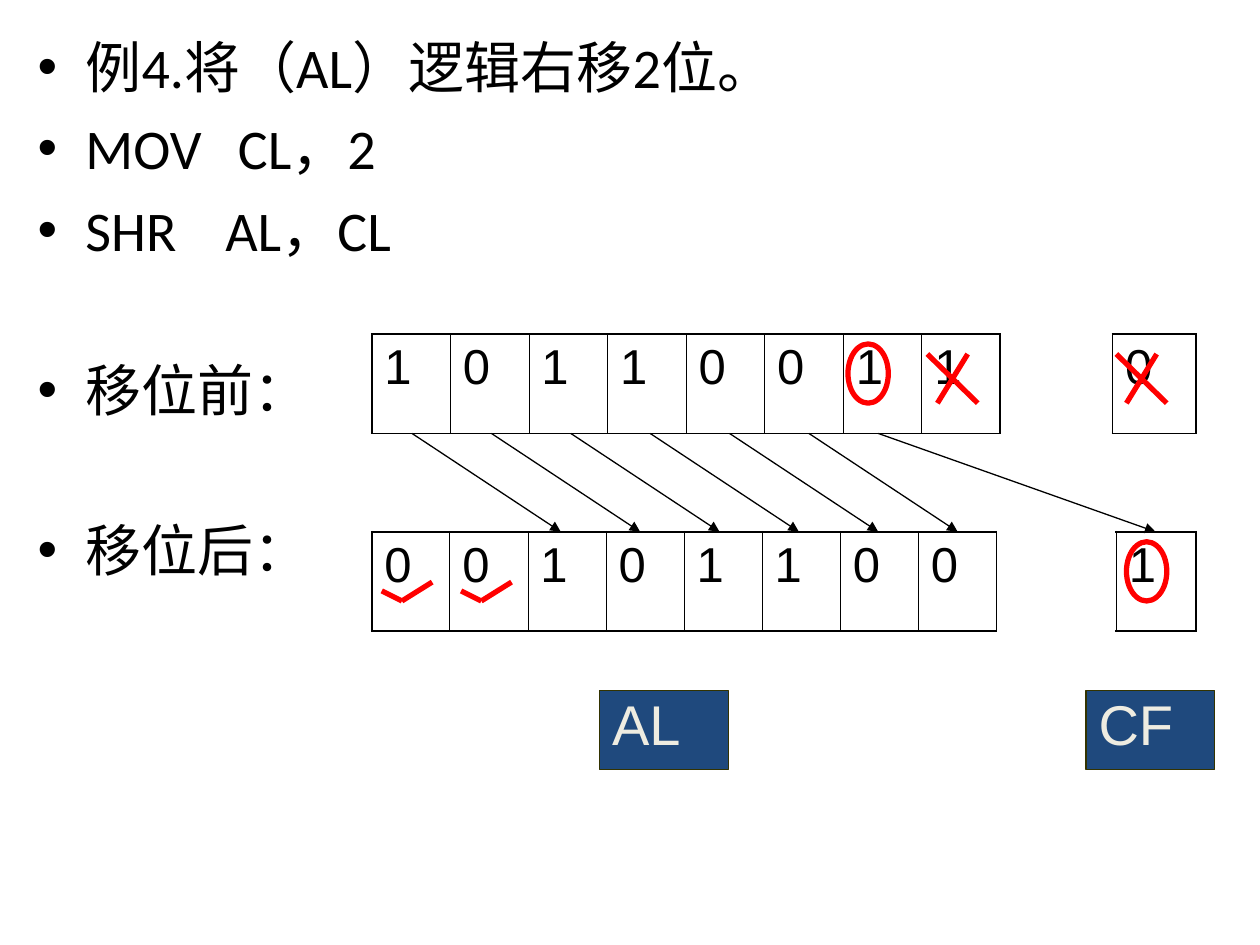
from dataclasses import dataclass

from lxml.etree import SubElement
from pptx import Presentation
from pptx.dml.color import RGBColor
from pptx.enum.shapes import MSO_CONNECTOR, MSO_SHAPE
from pptx.enum.text import MSO_ANCHOR
from pptx.oxml.ns import qn
from pptx.util import Inches, Pt

BLACK = RGBColor(0x00, 0x00, 0x00)
RED = RGBColor(0xFF, 0x00, 0x00)
NAVY = RGBColor(0x1F, 0x49, 0x7D)
OLIVE = RGBColor(0x33, 0x33, 0x00)
CREAM = RGBColor(0xEE, 0xEC, 0xE1)

ROW_H = 0.79
OLD_TOP, NEW_TOP = 2.65, 4.22
STEP = 0.63  # spacing of the arrows and ticks


@dataclass
class Bullet:
    text: str
    before: float = 8
    stop: float = 0


@dataclass
class Bits:
    text: str
    left: float
    top: float
    width: float


@dataclass
class Line:
    x1: float
    y1: float
    x2: float
    y2: float


BULLETS = [
    Bullet("例4.将（AL）逻辑右移2位。"),
    Bullet("MOV\tCL，2", stop=1.59),
    Bullet("SHR\tAL，CL", stop=1.49),
    Bullet("移位前：", before=53),
    Bullet("移位后：", before=53),
]
TABLES = [
    Bits("10110011", 2.95, OLD_TOP, 4.99),
    Bits("0", 8.83, OLD_TOP, 0.66),
    Bits("1", 8.86, NEW_TOP, 0.63),
    Bits("00101100", 2.95, NEW_TOP, 4.96),
]
ARROWS = [Line(6.97, OLD_TOP + ROW_H, 9.17, NEW_TOP)] + [
    Line(3.27 + i * STEP, OLD_TOP + ROW_H, 4.45 + i * STEP, NEW_TOP) for i in range(6)
]
CROSSES = [7.36, 8.86]
TICKS = [3.03, 3.03 + STEP]
RINGS = [(6.73, 2.73), (8.94, 4.3)]
LABELS = [("CF", 8.62), ("AL", 4.76)]


def add_run(para, text: str, font: str, size: float, color: RGBColor) -> None:
    run = para.add_run()
    run.text = text
    run.font.name = font
    run.font.size = Pt(size)
    run.font.color.rgb = color


def add_list(slide, items: list[Bullet]) -> None:
    box = slide.shapes.add_textbox(Inches(0.2), Inches(0.21), Inches(9.61), Inches(7.09))
    frame = box.text_frame
    frame.word_wrap = True
    for i, item in enumerate(items):
        para = frame.add_paragraph() if i else frame.paragraphs[0]
        para.space_before = Pt(item.before)
        props = para._p.get_or_add_pPr()
        props.set("marL", str(Inches(0.38)))
        props.set("indent", str(Inches(-0.38)))
        SubElement(props, qn("a:buFont"), typeface="Arial")
        SubElement(props, qn("a:buChar"), char="•")
        if item.stop:
            tabs = SubElement(props, qn("a:tabLst"))
            SubElement(tabs, qn("a:tab"), pos=str(Inches(item.stop)), algn="l")
        add_run(para, item.text, "Calibri", 32, BLACK)


def set_edge(cell, side: str, width: float) -> None:
    edge = SubElement(cell._tc.get_or_add_tcPr(), qn(f"a:ln{side}"), w=str(Pt(width)))
    fill = SubElement(edge, qn("a:solidFill"))
    SubElement(fill, qn("a:srgbClr"), val=str(BLACK))


def add_bits(slide, bits: Bits) -> None:
    """Draw a one-row table with a bit in each cell."""
    count = len(bits.text)
    table = slide.shapes.add_table(
        1, count, Inches(bits.left), Inches(bits.top), Inches(bits.width), Inches(ROW_H)
    ).table
    table.first_row = table.horz_banding = False
    for i, bit in enumerate(bits.text):
        table.columns[i].width = Inches(bits.width / count)
        cell = table.cell(0, i)
        set_edge(cell, "L", 1.08 if i == 0 else 0.45)
        set_edge(cell, "R", 1.08 if i == count - 1 else 0.45)
        set_edge(cell, "T", 1.08)
        set_edge(cell, "B", 1.08)
        cell.fill.background()
        para = cell.text_frame.paragraphs[0]
        para.space_before = Pt(7)
        add_run(para, bit, "Arial", 28, BLACK)


def add_label(slide, text: str, left: float) -> None:
    box = slide.shapes.add_shape(
        MSO_SHAPE.RECTANGLE, Inches(left), Inches(5.48), Inches(1.02), Inches(0.63)
    )
    box.shadow.inherit = False
    box.fill.solid()
    box.fill.fore_color.rgb = NAVY
    box.line.color.rgb = OLIVE
    box.line.width = Pt(0.75)
    box.text_frame.vertical_anchor = MSO_ANCHOR.TOP
    para = box.text_frame.paragraphs[0]
    para.alignment = 1
    para.line_spacing = 0.9
    add_run(para, text, "Arial", 32, CREAM)


def add_line(slide, line: Line, color: RGBColor, width: float, arrow: bool = False) -> None:
    link = slide.shapes.add_connector(
        MSO_CONNECTOR.STRAIGHT,
        Inches(line.x1), Inches(line.y1), Inches(line.x2), Inches(line.y2),
    )
    link.line.color.rgb = color
    link.line.width = Pt(width)
    if arrow:
        SubElement(link.line._get_or_add_ln(), qn("a:tailEnd"), type="triangle")
    SubElement(link._element.spPr, qn("a:effectLst"))


def add_ring(slide, left: float, top: float) -> None:
    ring = slide.shapes.add_shape(
        MSO_SHAPE.OVAL, Inches(left), Inches(top), Inches(0.32), Inches(0.47)
    )
    ring.shadow.inherit = False
    ring.fill.background()
    ring.line.color.rgb = RED
    ring.line.width = Pt(3)


def main() -> None:
    deck = Presentation()
    deck.slide_width, deck.slide_height = Inches(10), Inches(7.5)
    slide = deck.slides.add_slide(deck.slide_layouts[6])
    add_list(slide, BULLETS)
    for bits in TABLES:
        add_bits(slide, bits)
    for text, left in LABELS:
        add_label(slide, text, left)
    for line in ARROWS:
        add_line(slide, line, BLACK, 0.75, arrow=True)
    for x in CROSSES:
        add_line(slide, Line(x, 2.81, x + 0.4, 3.2), RED, 3)
        add_line(slide, Line(x + 0.32, 2.81, x + 0.08, 3.2), RED, 3)
    for x in TICKS:
        add_line(slide, Line(x, 4.69, x + 0.16, 4.77), RED, 3)
        add_line(slide, Line(x + 0.16, 4.77, x + 0.4, 4.62), RED, 3)
    for left, top in RINGS:
        add_ring(slide, left, top)
    deck.save("out.pptx")


if __name__ == "__main__":
    main()
